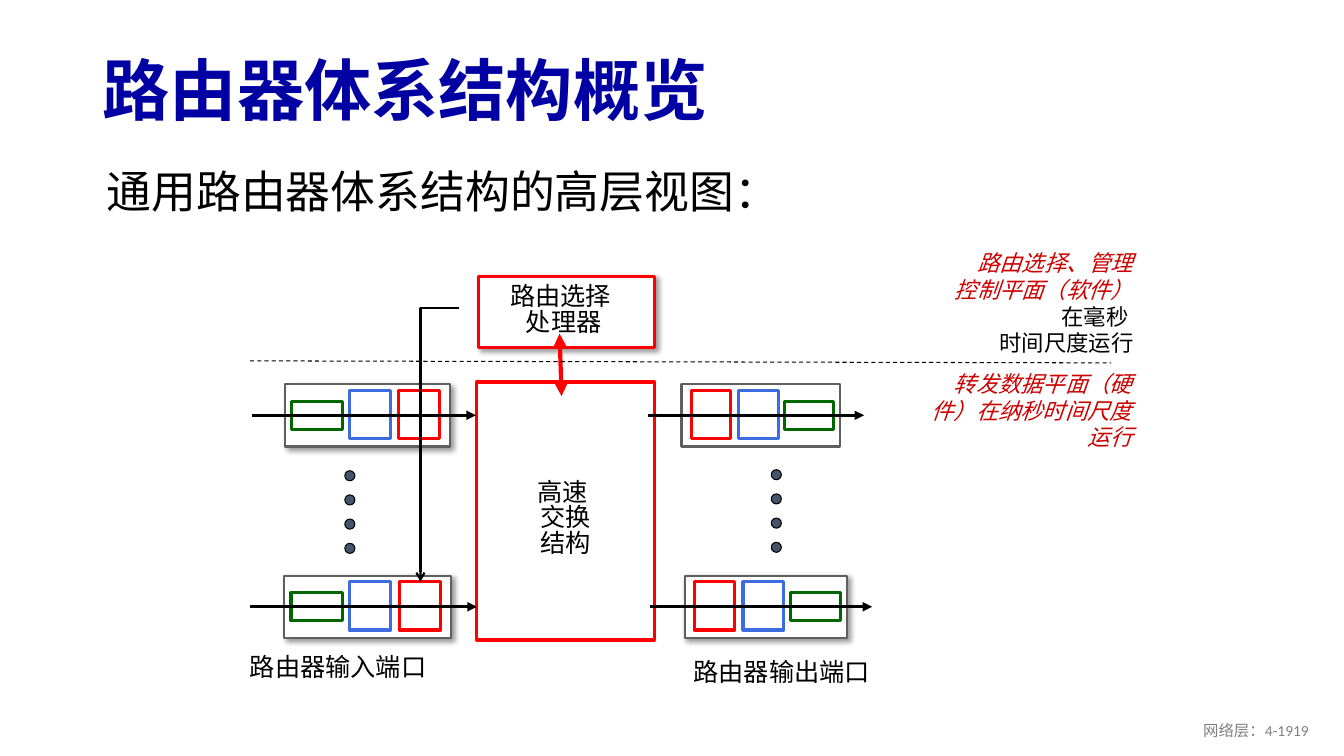
import pptx
import pptx.util
import pptx.dml.color
import pptx.enum.dml
import pptx.enum.shapes
import pptx.enum.text
import pptx.oxml
import pptx.oxml.ns

Inches = pptx.util.Inches
Pt = pptx.util.Pt
color = pptx.dml.color.RGBColor.from_string
qn = pptx.oxml.ns.qn
kinds = pptx.enum.shapes.MSO_SHAPE
align = pptx.enum.text.PP_ALIGN
anchor = pptx.enum.text.MSO_ANCHOR

WHITE, BLACK, RED, GREEN, BLUE, GRAY = "FFFFFF", "000000", "FF0000", "006600", "3C6CDF", "5F5F5F"
SHADOW = (
    f'<a:outerShdw {pptx.oxml.ns.nsdecls("a")} blurRad="50800" dist="38100" dir="2700000">'
    '<a:srgbClr val="000000"><a:alpha val="40000"/></a:srgbClr></a:outerShdw>'
)

deck = pptx.Presentation()
deck.slide_width = Inches(13.33)
deck.slide_height = Inches(7.5)
page = deck.slides.add_slide(deck.slide_layouts[6])


def add_block(kind, place, fill, line, width, shadow=False):
    block = page.shapes.add_shape(kind, *map(Inches, place))
    block.shadow.inherit = False
    block.fill.solid()
    block.fill.fore_color.rgb = color(fill)
    block.line.color.rgb = color(line)
    block.line.width = Pt(width)
    if shadow:
        effects = block._element.spPr.find(qn("a:effectLst"))
        effects.append(pptx.oxml.parse_xml(SHADOW))


def style_line(line, stroke, width, dashed=False, **ends):
    """Colour a line and put arrowheads at the named ends."""
    line.line.color.rgb = color(stroke)
    line.line.width = Pt(width)
    if dashed:
        line.line.dash_style = pptx.enum.dml.MSO_LINE.DASH
    outline = line._element.spPr.find(qn("a:ln"))
    for end, arrow in ends.items():
        outline.append(outline.makeelement(qn(f"a:{end}"), {"type": arrow}))
    if line._element.spPr.find(qn("a:effectLst")) is None:
        line._element.spPr.append(outline.makeelement(qn("a:effectLst"), {}))


# Switching fabric and routing processor
add_block(kinds.RECTANGLE, (4.73, 3.79, 1.76, 2.56), WHITE, RED, 2.25)
add_block(kinds.RECTANGLE, (4.75, 2.74, 1.74, 0.71), WHITE, RED, 2.25, shadow=True)
control_link = page.shapes.add_connector(
    pptx.enum.shapes.MSO_CONNECTOR.STRAIGHT, Inches(5.55), Inches(3.31), Inches(5.57), Inches(3.93))
style_line(control_link, RED, 3, headEnd="triangle", tailEnd="triangle")

# Stages: offset and width as shares of the port, top and height in inches
stages = [
    (0.04, 0.31, 0.17, 0.28, GREEN),
    (0.39, 0.25, 0.06, 0.48, BLUE),
    (0.69, 0.25, 0.06, 0.48, RED),
]
# Ports: left, top, width, arrow start, arrow end, mirrored, shadow
ports = [
    (2.83, 3.81, 1.63, 2.5, 4.72, False, True),
    (2.82, 5.71, 1.65, 2.48, 4.73, False, True),
    (6.76, 3.81, 1.57, 6.43, 8.57, True, False),
    (6.79, 5.71, 1.61, 6.45, 8.65, True, True),
]
for left, top, width, start, end, mirrored, shadow in ports:
    add_block(kinds.RECTANGLE, (left, top, width, 0.62), WHITE, GRAY, 1.5, shadow)
    for offset, share, drop, height, stroke in stages:
        if mirrored:
            offset = 1 - offset - share
        place = (left + offset * width, top + drop, share * width, height)
        add_block(kinds.RECTANGLE, place, WHITE, stroke, 2.25)
    flow = page.shapes.add_connector(
        pptx.enum.shapes.MSO_CONNECTOR.STRAIGHT,
        Inches(start), Inches(top + 0.31), Inches(end), Inches(top + 0.31))
    style_line(flow, BLACK, 2.25, tailEnd="triangle")

# Dots between the first and last port of each side
for left, top in [(3.42, 4.67), (7.65, 4.66)]:
    for row in range(4):
        add_block(kinds.OVAL, (left, top + 0.24 * row, 0.1, 0.1), "44546A", BLACK, 0.75)

# Border between control plane and data plane
plane_border = page.shapes.add_connector(
    pptx.enum.shapes.MSO_CONNECTOR.STRAIGHT, Inches(2.48), Inches(3.58), Inches(11.02), Inches(3.6))
style_line(plane_border, BLACK, 0.75, dashed=True)

# Path from the processor down to the input port
builder = page.shapes.build_freeform(Inches(4.55), Inches(3.06))
builder.add_line_segments(
    [(Inches(4.17), Inches(3.06)), (Inches(4.17), Inches(5.77))], close=False)
table_path = builder.convert_to_shape()
table_path.shadow.inherit = False
table_path.fill.background()
style_line(table_path, BLACK, 1.5, tailEnd="arrow")

title = {"size": Pt(48), "name": "Calibri", "bold": True, "color": "0000A3"}
subtitle = {"size": Pt(32), "name": "Arial", "color": BLACK}
label = {"size": Pt(18), "name": "Arial", "color": BLACK}
note = {"size": Pt(16), "name": "Arial", "color": BLACK}
key_note = {**note, "italic": True, "color": "CC0000"}
footer = {"size": Pt(11), "name": "Calibri", "color": "808080"}

# Texts: place, anchor, alignment, line spacing, lines with their format
texts = [
    ((0.92, 0.44, 11.5, 0.98), anchor.MIDDLE, align.LEFT, 0.9, [("路由器体系结构概览", title)]),
    ((0.96, 1.58, 11.8, 0.64), anchor.TOP, align.LEFT, 1.0,
     [("通用路由器体系结构的高层视图：", subtitle)]),
    ((4.85, 4.72, 1.52, 0.87), anchor.TOP, align.CENTER, 0.85,
     [("高速 ", label), ("交换", label), ("结构", label)]),
    ((4.94, 2.78, 1.3, 0.61), anchor.TOP, align.CENTER, 0.85,
     [("路由选择 ", label), ("处理器", label)]),
    ((2.38, 6.41, 2.09, 0.4), anchor.TOP, align.LEFT, 1.0, [("路由器输入端口", label)]),
    ((6.78, 6.46, 2.24, 0.4), anchor.TOP, align.LEFT, 1.0, [("路由器输出端口", label)]),
    ((8.94, 3.62, 2.39, 1.18), anchor.TOP, align.RIGHT, 1.0,
     [("转发数据平面（硬件）在纳秒时间尺度运行", key_note)]),
    ((8.19, 2.42, 3.15, 1.18), anchor.TOP, align.RIGHT, 1.0,
     [("路由选择、管理", key_note), ("控制平面（软件）", key_note),
      ("在毫秒 ", note), ("时间尺度运行", note)]),
    ((10.08, 7.05, 3, 0.4), anchor.MIDDLE, align.RIGHT, 1.0, [("网络层：4-1919", footer)]),
]
for place, vertical, horizontal, spacing, lines in texts:
    box = page.shapes.add_textbox(*map(Inches, place))
    frame = box.text_frame
    frame.word_wrap = True
    frame.vertical_anchor = vertical
    for index, (words, formats) in enumerate(lines):
        para = frame.add_paragraph() if index else frame.paragraphs[0]
        para.alignment = horizontal
        para.line_spacing = spacing
        span = para.add_run()
        span.text = words
        for name, value in formats.items():
            if name == "color":
                span.font.color.rgb = color(value)
            else:
                setattr(span.font, name, value)

deck.save("out.pptx")
